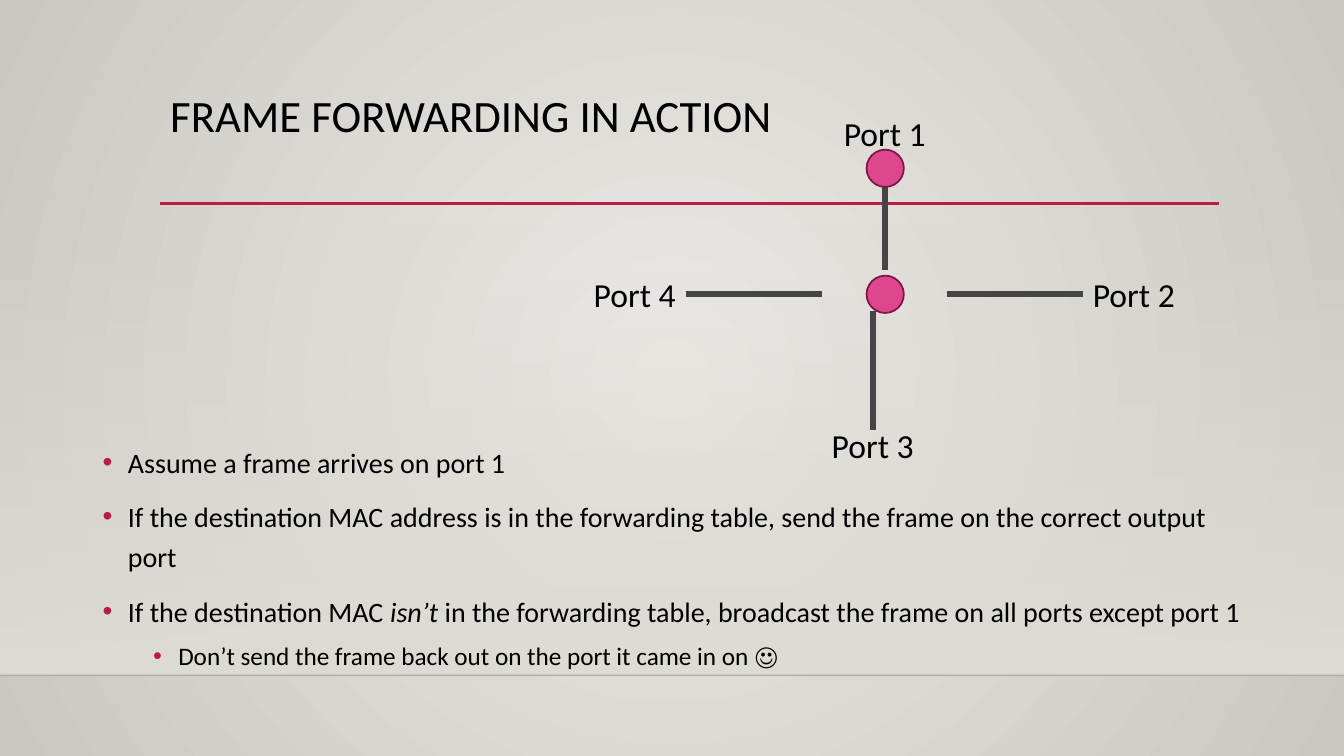
from lxml.etree import SubElement
from pptx import Presentation
from pptx.dml.color import RGBColor
from pptx.enum.shapes import MSO_CONNECTOR, MSO_SHAPE
from pptx.enum.text import MSO_ANCHOR, MSO_AUTO_SIZE, PP_ALIGN
from pptx.oxml.ns import qn
from pptx.util import Inches, Pt

FONT = "Calibri"
BLACK = RGBColor(0x00, 0x00, 0x00)
NEAR_BLACK = RGBColor(0x00, 0x00, 0x01)
CRIMSON = RGBColor(0xB7, 0x1E, 0x42)
GRAY = RGBColor(0x45, 0x45, 0x45)
PINK = RGBColor(0xDE, 0x47, 0x8E)
PLUM = RGBColor(0x7C, 0x16, 0x46)
GLOW = RGBColor(0xEC, 0xEA, 0xE7)
EDGE = RGBColor(0xCA, 0xC7, 0xC1)
WALL = RGBColor(0xDF, 0xDB, 0xD5)

BULLETS = [
    (0, [("Assume a frame arrives on port 1", False)]),
    (0, [("If the destination MAC address is in the forwarding table, "
          "send the frame on the correct output port", False)]),
    (0, [("If the destination MAC ", False), ("isn’t", True),
         (" in the forwarding table, broadcast the frame on all ports "
          "except port 1", False)]),
    (1, [("Don’t send the frame back out on the port it came in on ☺", False)]),
]


def set_alpha(color_parent, percent):
    color = color_parent.find(".//" + qn("a:srgbClr"))
    SubElement(color, qn("a:alpha")).set("val", str(percent * 1000))


def set_gradient(fill, start, end):
    fill.gradient()
    for stop, color in zip(fill.gradient_stops, (start, end)):
        stop.color.rgb = color


def add_line(s, start, end, color, width):
    line = s.shapes.add_connector(MSO_CONNECTOR.STRAIGHT,
                                  *(Inches(v) for v in start + end))
    line.line.color.rgb = color
    line.line.width = Pt(width)
    SubElement(line._element.spPr, qn("a:effectLst"))
    return line


def add_text_box(s, left, top, width, height, wrap=True):
    tf = s.shapes.add_textbox(Inches(left), Inches(top),
                              Inches(width), Inches(height)).text_frame
    tf.word_wrap = wrap
    tf.vertical_anchor = MSO_ANCHOR.TOP
    return tf


def style_font(font, size):
    font.name = FONT
    font.size = Pt(size)
    font.color.rgb = BLACK


def add_backdrop(s, width, floor):
    """Radial background, wall fading in down to the floor line."""
    set_gradient(s.background.fill, GLOW, EDGE)
    grad = s._element.find(".//" + qn("a:gradFill"))
    grad.remove(grad.find(qn("a:lin")))
    circle = SubElement(grad, qn("a:path"), {"path": "circle"})
    SubElement(circle, qn("a:fillToRect"), dict.fromkeys("ltrb", "50000"))

    wall_top = 2.21
    wall = s.shapes.add_shape(MSO_SHAPE.RECTANGLE, 0, Inches(wall_top),
                              Inches(width), Inches(floor - wall_top))
    wall.shadow.inherit = False
    wall.line.fill.background()
    set_gradient(wall.fill, WALL, WALL)
    wall.fill.gradient_angle = 270
    set_alpha(wall._element.spPr, 0)

    floor_line = add_line(s, (0, floor), (width, floor), NEAR_BLACK, 1)
    set_alpha(floor_line._element.spPr, 20)


def add_title(s, left, top, width, height):
    add_line(s, (left, top + 1.14), (left + width, top + 1.14), CRIMSON, 2.5)
    p = add_text_box(s, left, top, width, height).paragraphs[0]
    p.text = "FRAME FORWARDING IN ACTION"
    p.line_spacing = 0.9
    style_font(p.runs[0].font, 32)


def add_bullet(p, level):
    pPr = p._p.get_or_add_pPr()
    pPr.set("marL", str(Inches(0.25 + 0.5 * level)))
    pPr.set("indent", str(Inches(-0.25)))
    color = SubElement(pPr, qn("a:buClr"))
    SubElement(color, qn("a:srgbClr")).set("val", str(CRIMSON))
    SubElement(pPr, qn("a:buFont")).set("typeface", "Arial")
    SubElement(pPr, qn("a:buChar")).set("char", "•")


def add_body(s, left, top, width, height):
    tf = add_text_box(s, left, top, width, height)
    for i, (level, runs) in enumerate(BULLETS):
        p = tf.add_paragraph() if i else tf.paragraphs[0]
        p.level = level
        add_bullet(p, level)
        p.line_spacing = 1.2
        if i:
            p.space_before = Pt(5 if level else 10)
        for text, italic in runs:
            r = p.add_run()
            r.text = text
            style_font(r.font, 18 if level else 20)
            if italic:
                r.font.italic = True


def add_port_label(s, number, left, top):
    tf = add_text_box(s, left, top, 1.01, 0.5, wrap=False)
    tf.auto_size = MSO_AUTO_SIZE.NONE
    tf.margin_left = tf.margin_right = 0
    p = tf.paragraphs[0]
    p.text = f"Port {number}"
    p.alignment = PP_ALIGN.CENTER
    style_font(p.runs[0].font, 24)


def add_frame_dot(s, x, y, size=0.37):
    dot = s.shapes.add_shape(MSO_SHAPE.OVAL, Inches(x - size / 2),
                             Inches(y - size / 2), Inches(size), Inches(size))
    dot.shadow.inherit = False
    dot.fill.solid()
    dot.fill.fore_color.rgb = PINK
    dot.line.color.rgb = PLUM
    dot.line.width = Pt(1.25)


def add_switch(s, x, y):
    """Four port links around the centre (x, y), with the frame on port 1."""
    links = [((x, y - 0.24), (x, y - 1.43)),
             ((x + 0.61, y), (x + 1.96, y)),
             ((x - 0.12, y + 1.35), (x - 0.12, y + 0.17)),
             ((x - 1.98, y), (x - 0.63, y))]
    labels = [(x - 0.51, y - 1.85), (x + 1.96, y - 0.25),
              (x - 0.63, y + 1.25), (x - 2.99, y - 0.25)]
    for start, end in links:
        add_line(s, start, end, GRAY, 4.5)
    for number, (left, top) in enumerate(labels, 1):
        add_port_label(s, number, left, top)
    for dot_y in (y - 1.25, y):
        add_frame_dot(s, x, dot_y)


def main():
    prs = Presentation()
    prs.slide_width, prs.slide_height = Inches(13.33), Inches(7.5)
    s = prs.slides.add_slide(prs.slide_layouts[6])
    add_backdrop(s, 13.33, 6.7)
    add_title(s, 1.59, 0.88, 10.5, 1.15)
    add_body(s, 0.92, 4.3, 11.5, 2.91)
    add_switch(s, 8.78, 2.92)
    prs.save("out.pptx")


if __name__ == "__main__":
    main()
